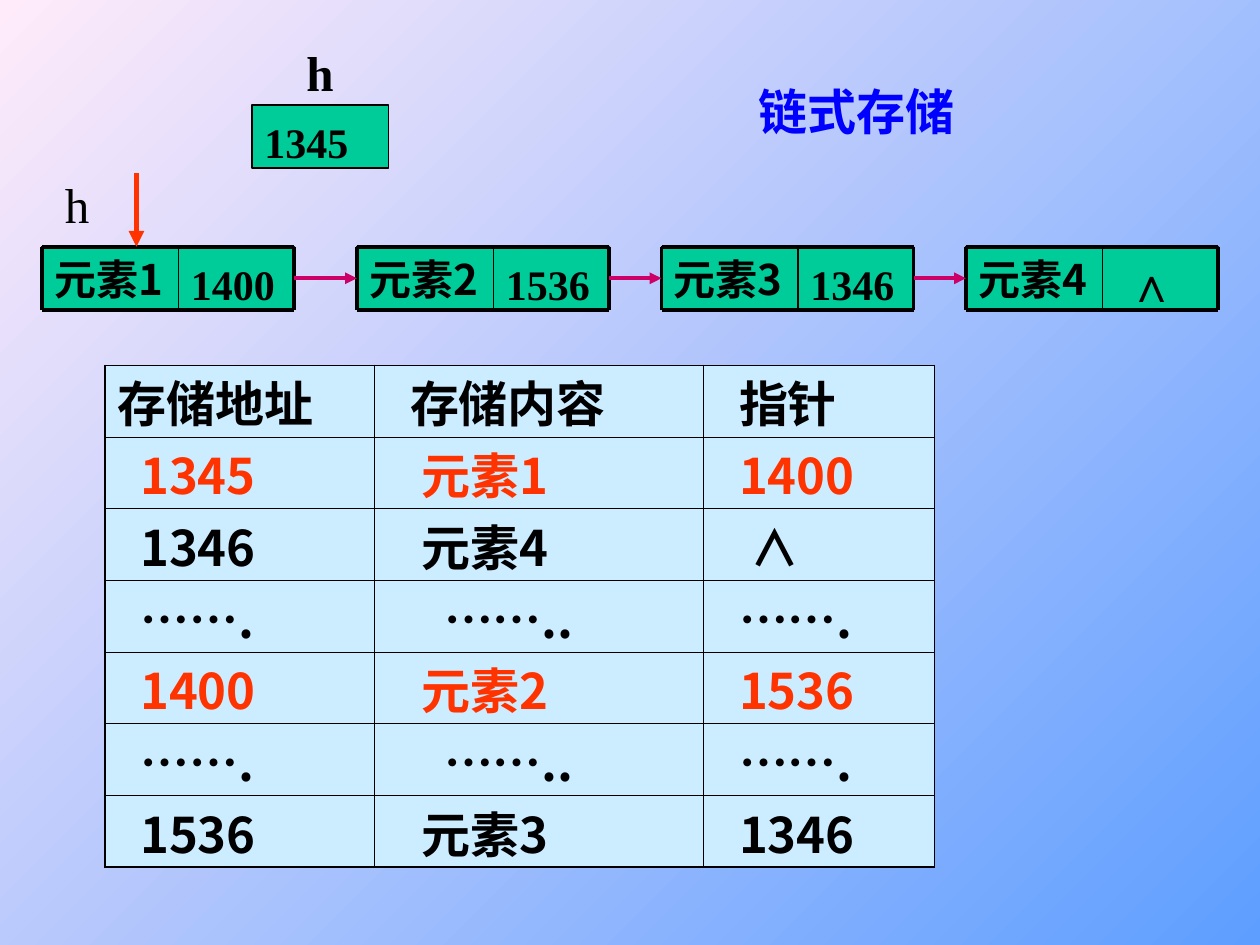
import pptx
import pptx.dml.color
import pptx.enum.dml
import pptx.enum.shapes
import pptx.enum.text
import pptx.oxml.ns
import pptx.util
from lxml import etree

RGBColor = pptx.dml.color.RGBColor
BLACK = RGBColor(0x00, 0x00, 0x00)
GREEN = RGBColor(0x00, 0xCC, 0x99)
MAGENTA = RGBColor(0xCC, 0x00, 0x66)
ORANGE = RGBColor(0xFF, 0x33, 0x00)
BLUE = RGBColor(0x00, 0x00, 0xFF)
PALE = RGBColor(0xCC, 0xEC, 0xFF)
SKY = RGBColor(0x5E, 0x9E, 0xFF)
PINK = RGBColor(0xFF, 0xEB, 0xFA)

CJK = "Noto Sans CJK SC"
SERIF = "Times New Roman"
WIDTH, HEIGHT = pptx.util.Inches(10), pptx.util.Inches(7.5)
COLUMNS = 120
UNIT = WIDTH // COLUMNS
DATA_W, NEXT_W, NODE_H = 13, 11, 6
INDENT = 0.09

NODES = [(4, "元素1", "1400"), (34, "元素2", "1536"),
         (63, "元素3", "1346"), (92, "元素4", "∧")]
COLUMN_SHARES = [2.14, 2.61, 1.83]
HEADER = ("存储地址", "存储内容", "指针")
RECORDS = [("1345", "元素1", "1400"), ("1346", "元素4", "∧"),
           ("…….", "……..", "……."), ("1400", "元素2", "1536"),
           ("…….", "……..", "……."), ("1536", "元素3", "1346")]
HIGHLIGHTED = ("1345", "1400")
HEADER_INDENTS, RECORD_INDENTS = (0, 2, 2), (2, 3, 2)
EXTRA_INDENTS = {"∧": 1, "……..": 2}


def grid(*cells):
    """Turn grid units into lengths."""
    return [round(c * UNIT) for c in cells]


def set_margins(target, left, top, right=0.1, bottom=0.05):
    """Set the four inner margins, in inches, of a text frame or cell."""
    for side, value in dict(left=left, top=top, right=right, bottom=bottom).items():
        setattr(target, "margin_" + side, pptx.util.Inches(value))


def write(tf, text, color=BLACK, **fmt):
    """Write one left-aligned line with the given font format."""
    p = tf.paragraphs[0]
    p.alignment = pptx.enum.text.PP_ALIGN.LEFT
    r = p.add_run()
    r.text = text
    for name, value in fmt.items():
        setattr(r.font, name, value)
    r.font.color.rgb = color
    if fmt["name"] == CJK:
        ea = etree.SubElement(r.font._element, pptx.oxml.ns.qn("a:ea"))
        ea.set("typeface", CJK)


def add_line(s, x1, y1, x2, y2, color, width, arrow=False):
    """Draw a straight line on the grid, with an optional arrowhead."""
    line = s.shapes.add_connector(pptx.enum.shapes.MSO_CONNECTOR.STRAIGHT,
                                  *grid(x1, y1, x2, y2))
    line.line.color.rgb = color
    line.line.width = pptx.util.Pt(width)
    if arrow:
        tail = etree.SubElement(line.line._get_or_add_ln(), pptx.oxml.ns.qn("a:tailEnd"))
        tail.set("type", "triangle")
    etree.SubElement(line._element.spPr, pptx.oxml.ns.qn("a:effectLst"))
    return line


def add_field(s, box, text, font=SERIF):
    """Draw one green field of a node with its value."""
    sp = s.shapes.add_shape(pptx.enum.shapes.MSO_SHAPE.RECTANGLE, *grid(*box))
    sp.shadow.inherit = False
    sp.fill.solid()
    sp.fill.fore_color.rgb = GREEN
    sp.line.color.rgb = BLACK
    sp.line.width = pptx.util.Pt(0.75)
    tf = sp.text_frame
    tf.word_wrap = False
    tf.vertical_anchor = pptx.enum.text.MSO_ANCHOR.MIDDLE
    end_mark = text == "∧"
    if font == CJK:
        set_margins(tf, 0.1, 0, bottom=0)
    else:
        set_margins(tf, 0.2 if end_mark else 0.1, 0.13)
    write(tf, text, name=font, size=pptx.util.Pt(28 if end_mark else 24), bold=True)
    return sp


def add_node(s, x, y, data, pointer):
    """Draw a two-field list node and return its fields."""
    split, right, bottom = x + DATA_W, x + DATA_W + NEXT_W, y + NODE_H
    next_field = add_field(s, (split, y, NEXT_W, NODE_H), pointer)
    data_field = add_field(s, (x, y, DATA_W, NODE_H), data, CJK)
    for edge_y in (y, bottom):
        add_line(s, x, edge_y, right, edge_y, BLACK, 2.25)
    for edge_x, width in ((x, 2.25), (split, 1), (right, 2.25)):
        add_line(s, edge_x, y, edge_x, bottom, BLACK, width)
    return data_field, next_field


def add_chain(s, y):
    """Draw the nodes in a row and link each pointer to the next node."""
    nodes = [add_node(s, x, y, data, pointer) for x, data, pointer in NODES]
    middle = y + NODE_H / 2
    for i, (left, right) in enumerate(zip(nodes, nodes[1:])):
        start = NODES[i][0] + DATA_W + NEXT_W
        link = add_line(s, start, middle, NODES[i + 1][0], middle, MAGENTA, 2.25, True)
        link.begin_connect(left[1], 3)
        link.end_connect(right[0], 1)


def add_head_label(s, box, bold):
    """Write the name of the head pointer."""
    tf = s.shapes.add_textbox(*grid(*box)).text_frame
    set_margins(tf, 0.1, 0.09)
    write(tf, "h", name=SERIF, size=pptx.util.Pt(28), bold=bold)


def set_borders(cell, widths):
    """Give a cell black borders of the given widths in points."""
    tcPr = cell._tc.get_or_add_tcPr()
    for i, (side, width) in enumerate(widths.items()):
        ln = etree.Element(pptx.oxml.ns.qn("a:ln" + side), w=str(pptx.util.Pt(width)))
        fill = etree.SubElement(ln, pptx.oxml.ns.qn("a:solidFill"))
        etree.SubElement(fill, pptx.oxml.ns.qn("a:srgbClr"), val=str(BLACK))
        tcPr.insert(i, ln)


def add_memory_table(s, box):
    """Draw the table of addresses, contents and pointers."""
    rows = [HEADER] + RECORDS
    left, top, width, height = grid(*box)
    last_row, last_col = len(rows) - 1, len(HEADER) - 1
    table = s.shapes.add_table(len(rows), len(HEADER), left, top, width, height).table
    table.first_row = table.horz_banding = False
    for column, share in zip(table.columns, COLUMN_SHARES):
        column.width = round(width * share / sum(COLUMN_SHARES))
    for i, row in enumerate(rows):
        color = ORANGE if row[0] in HIGHLIGHTED else BLACK
        for j, text in enumerate(row):
            cell = table.cell(i, j)
            cell.fill.solid()
            cell.fill.fore_color.rgb = PALE
            outer = dict(L=j == 0, R=j == last_col, T=i == 0, B=i == last_row)
            set_borders(cell, {k: 1.08 if v else 0.45 for k, v in outer.items()})
            indents = RECORD_INDENTS if i else HEADER_INDENTS
            steps = indents[j] + EXTRA_INDENTS.get(text, 0)
            set_margins(cell, 0.1 + INDENT * steps, 0, bottom=0)
            cell.vertical_anchor = pptx.enum.text.MSO_ANCHOR.BOTTOM
            write(cell.text_frame, text, color, name=CJK, size=pptx.util.Pt(28), bold=True)


def set_title(s, box, text):
    """Place and format the title."""
    title = s.shapes.title
    title.left, title.top, title.width, title.height = grid(*box)
    tf = title.text_frame
    tf.word_wrap = False
    tf.auto_size = pptx.enum.text.MSO_AUTO_SIZE.NONE
    tf.vertical_anchor = pptx.enum.text.MSO_ANCHOR.MIDDLE
    set_margins(tf, 0.17, 0, bottom=0)
    write(tf, text, BLUE, name=CJK, size=pptx.util.Pt(28), bold=True)


def set_background(s):
    """Fill the background with a diagonal gradient."""
    fill = s.background.fill
    fill.gradient()
    fill.gradient_angle = 135
    for stop, color in zip(fill.gradient_stops, (SKY, PINK)):
        stop.color.rgb = color


def main():
    """Build the linked storage slide."""
    prs = pptx.Presentation()
    prs.slide_width, prs.slide_height = WIDTH, HEIGHT
    s = prs.slides.add_slide(prs.slide_layouts[5])
    set_background(s)
    set_title(s, (70.2, 7.2, 22.6, 6.8), "链式存储")
    add_chain(s, 23.5)
    add_field(s, (24, 10, DATA_W, NODE_H), "1345")
    add_head_label(s, (5, 15.5, 4.7, 6.8), False)
    add_head_label(s, (28, 3, 5, 6.8), True)
    add_line(s, 13, 16.5, 13, 23.5, ORANGE, 3, True)
    add_memory_table(s, (10, 34.8, 79, 47.8))
    prs.save("out.pptx")


if __name__ == "__main__":
    main()
